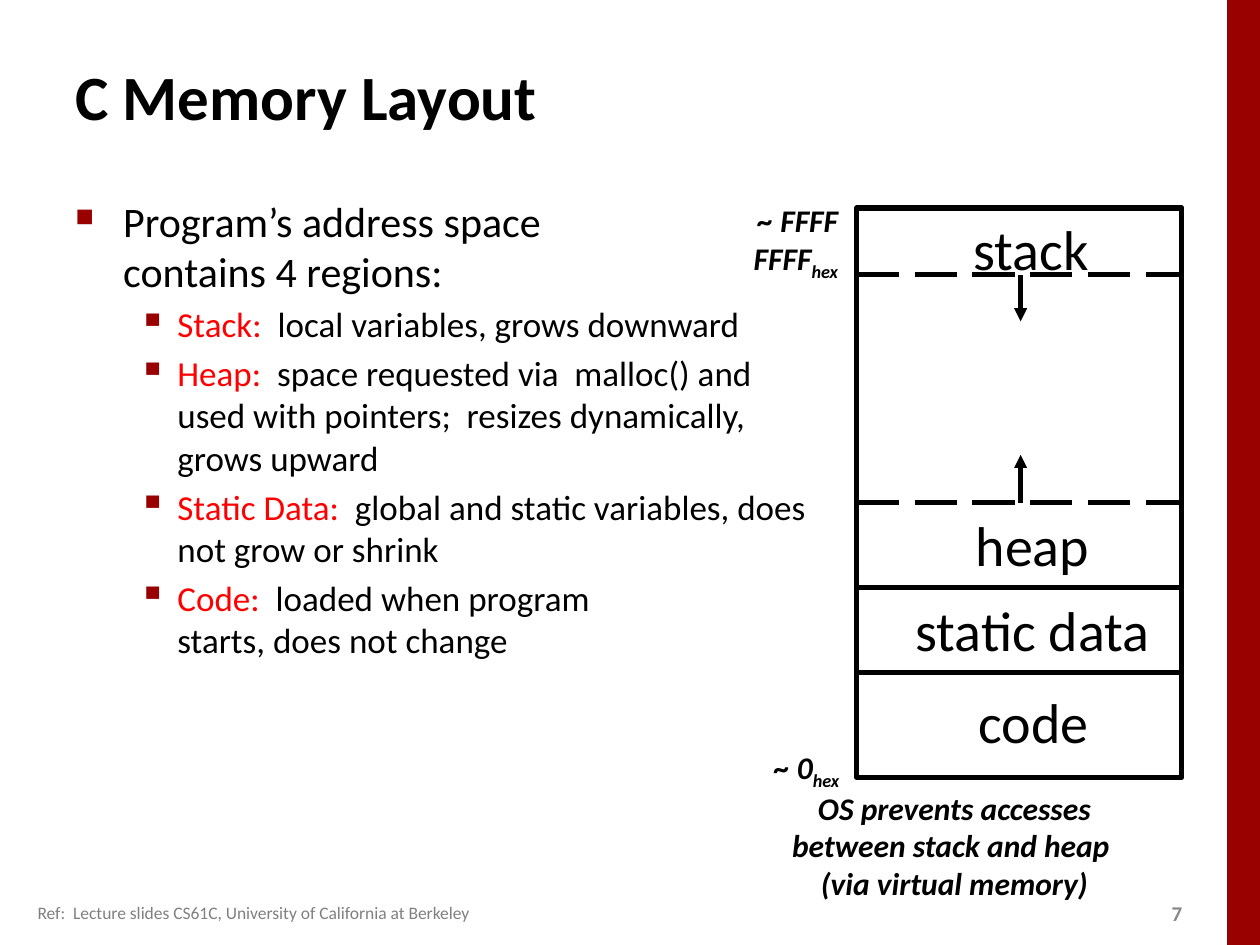
from lxml import etree
from pptx import Presentation
from pptx.dml.color import RGBColor
from pptx.enum.dml import MSO_LINE
from pptx.enum.shapes import MSO_CONNECTOR, MSO_SHAPE
from pptx.enum.text import MSO_ANCHOR, PP_ALIGN
from pptx.oxml.ns import qn
from pptx.util import Inches, Pt

BLACK = RGBColor(0, 0, 0)
WHITE = RGBColor(0xFF, 0xFF, 0xFF)
MAROON = RGBColor(0x99, 0, 0)
RED = RGBColor(0xFF, 0, 0)
GRAY = RGBColor(0x80, 0x80, 0x80)
SILVER = RGBColor(0x89, 0x89, 0x89)
LEFT, CENTER, RIGHT = PP_ALIGN.LEFT, PP_ALIGN.CENTER, PP_ALIGN.RIGHT
TOP, MIDDLE = MSO_ANCHOR.TOP, MSO_ANCHOR.MIDDLE
RECT, LINE, DASH = MSO_SHAPE.RECTANGLE, MSO_CONNECTOR.STRAIGHT, MSO_LINE.LONG_DASH

deck = Presentation()
deck.slide_width, deck.slide_height = Inches(10), Inches(7.5)
slide = deck.slides.add_slide(deck.slide_layouts[6])
shapes = slide.shapes


def add_text(box, paras, size=18, color=BLACK, bold=False, italic=False,
             align=LEFT, anchor=TOP):
    """Each paragraph is a list of (text, colour or None, is subscript)."""
    frame = shapes.add_textbox(*map(Inches, box)).text_frame
    frame.word_wrap = True
    frame.vertical_anchor = anchor
    for i, runs in enumerate(paras):
        para = frame.paragraphs[0] if i == 0 else frame.add_paragraph()
        para.alignment = align
        for words, tint, sub in runs:
            for j, part in enumerate(words.split("\n")):
                if j:
                    para.add_line_break()
                run = para.add_run()
                run.text = part
                font = run.font
                font.name, font.size = "Calibri", Pt(size)
                font.bold, font.italic = bold, italic
                font.color.rgb = tint or color
                if sub:
                    font._element.set("baseline", "-25000")
    return frame


def add_line(x1, y1, x2, y2, width, dash=None, arrow=False):
    line = shapes.add_connector(LINE, *map(Inches, (x1, y1, x2, y2)))
    line.line.color.rgb = BLACK
    line.line.width = Pt(width)
    if dash:
        line.line.dash_style = dash
    if arrow:
        etree.SubElement(line.line._get_or_add_ln(), qn("a:tailEnd"), type="triangle")
    etree.SubElement(line._element.spPr, qn("a:effectLst"))


# Side bar, page number and title
bar = shapes.add_shape(RECT, Inches(9.74), 0, Inches(0.26), Inches(7.5))
bar.shadow.inherit = False
bar.fill.solid()
bar.fill.fore_color.rgb = MAROON
bar.line.fill.background()
add_text((9.2, 7.1, 0.4, 0.3), [[("7", None, False)]], size=12, color=SILVER,
         bold=True, anchor=MIDDLE)
add_text((0.5, 0.3, 9, 0.92), [[("C Memory Layout", None, False)]], size=36,
         bold=True, anchor=MIDDLE)

# Bulleted list of regions
regions = [
    ("Stack:", "  local variables, grows downward"),
    ("Heap:", "  space requested via  malloc() and used with pointers;  "
              "resizes dynamically, grows upward"),
    ("Static Data:  ", "global and static variables, does not grow or shrink"),
    ("Code:", "  loaded when program \nstarts, does not change"),
]
intro = "Program’s address space \ncontains 4 regions:"
items = [[(intro, None, False)]]
items += [[(name, RED, False), (note, None, False)] for name, note in regions]
body = add_text((0.5, 1.5, 6, 5.3), items, size=20)
for run in body.paragraphs[0].runs:
    run.font.size = Pt(24)
for i, para in enumerate(body.paragraphs):
    margin, hang, mark, scale = (0.81, 0.31, "▪", 110) if i else (0.38, 0.38, "■", 60)
    props = para._p.get_or_add_pPr()
    props.set("marL", str(Inches(margin)))
    props.set("indent", str(-Inches(hang)))
    tint = etree.SubElement(props, qn("a:buClr"))
    etree.SubElement(tint, qn("a:srgbClr"), val=str(MAROON))
    etree.SubElement(props, qn("a:buSzPct"), val=str(scale * 1000))
    etree.SubElement(props, qn("a:buChar"), char=mark)
    if i:
        para.level = 1
        para.space_before = Pt(4)

# Memory blocks: top, height, fill, line colour, line width
x, wide = 6.8, 2.58
blocks = [
    (2.18, 1.81, WHITE, WHITE, 1),
    (1.65, 4.52, None, BLACK, 3),
    (5.35, 0.83, None, BLACK, 1),
    (4.66, 0.68, None, BLACK, 3),
]
for top, high, fill, edge, width in blocks:
    block = shapes.add_shape(RECT, *map(Inches, (x, top, wide, high)))
    block.shadow.inherit = False
    if fill:
        block.fill.solid()
        block.fill.fore_color.rgb = fill
    else:
        block.fill.background()
    block.line.color.rgb = edge
    block.line.width = Pt(width)

# Moving borders of heap and stack, with growth arrows
for y, tip in [(3.99, 3.61), (2.18, 2.55)]:
    add_line(x, y, x + wide, y, 3, dash=DASH)
    add_line(8.1, y, 8.1, tip, 2.5, arrow=True)

# Block labels
labels = [
    ("code", 7.59, 5.41, 1.23),
    ("static data", 7.11, 4.68, 2.17),
    ("heap", 7.58, 4, 1.23),
    ("stack", 7.57, 1.65, 1.23),
]
for name, left, top, width in labels:
    add_text((left, top, width, 0.58), [[(name, None, False)]], size=32, align=CENTER)

# Addresses at both ends
for value, box in [("~ FFFF FFFF", (5.2, 1.55, 1.55, 0.36)),
                   ("~ 0", (5.98, 5.89, 0.78, 0.36))]:
    add_text(box, [[(value, None, False), ("hex", None, True)]],
             bold=True, italic=True, align=RIGHT)

# Note under the diagram, and reference
note = ["OS prevents accesses\nbetween stack and heap ", "(via virtual memory)"]
add_text((6.17, 6.21, 2.81, 1.01), [[(words, None, False)] for words in note],
         bold=True, italic=True, align=CENTER)
ref = "Ref:  Lecture slides CS61C, University of California at Berkeley"
add_text((0.2, 7.11, 6.46, 0.27), [[(ref, None, False)]], size=10, color=GRAY)

deck.save("out.pptx")
